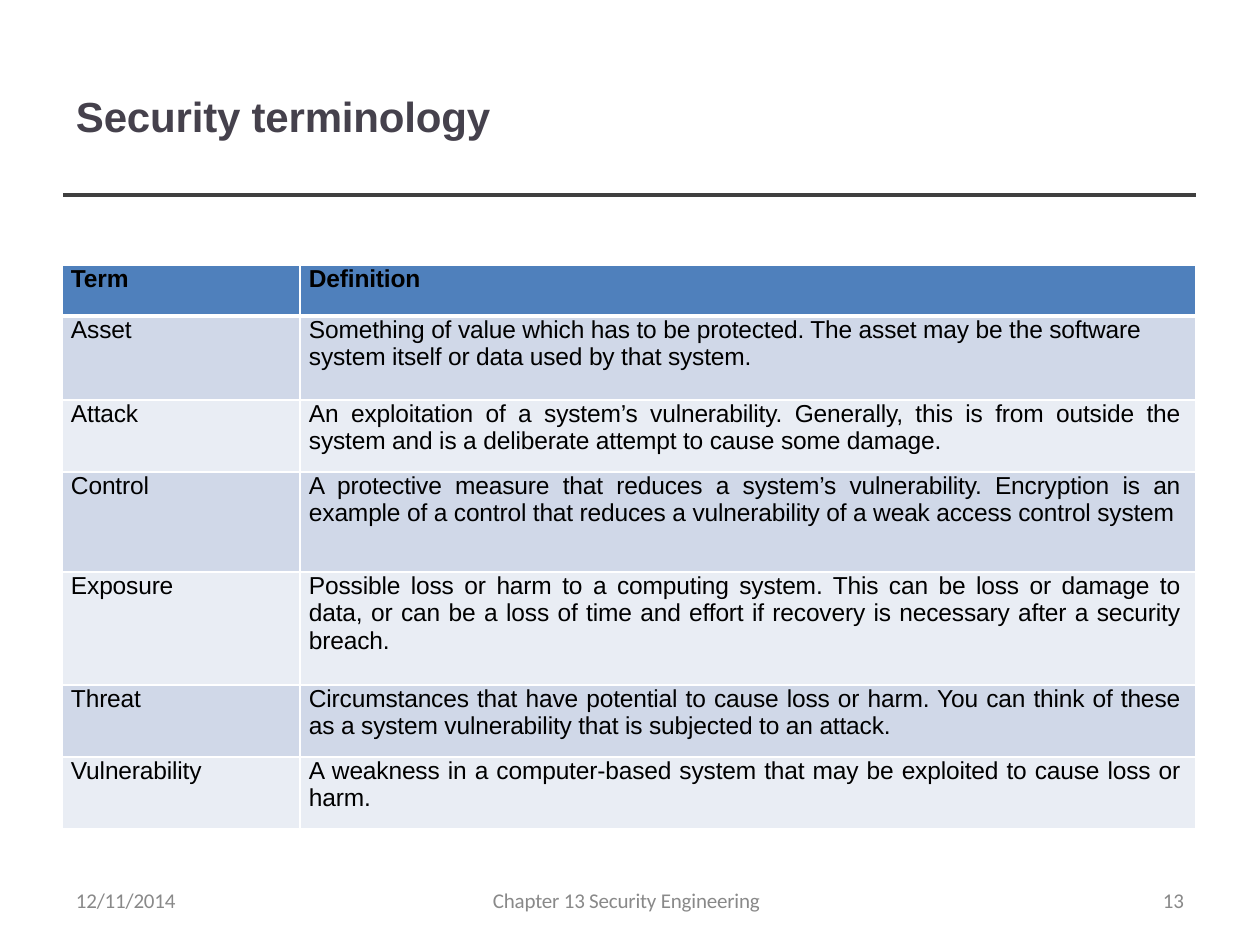
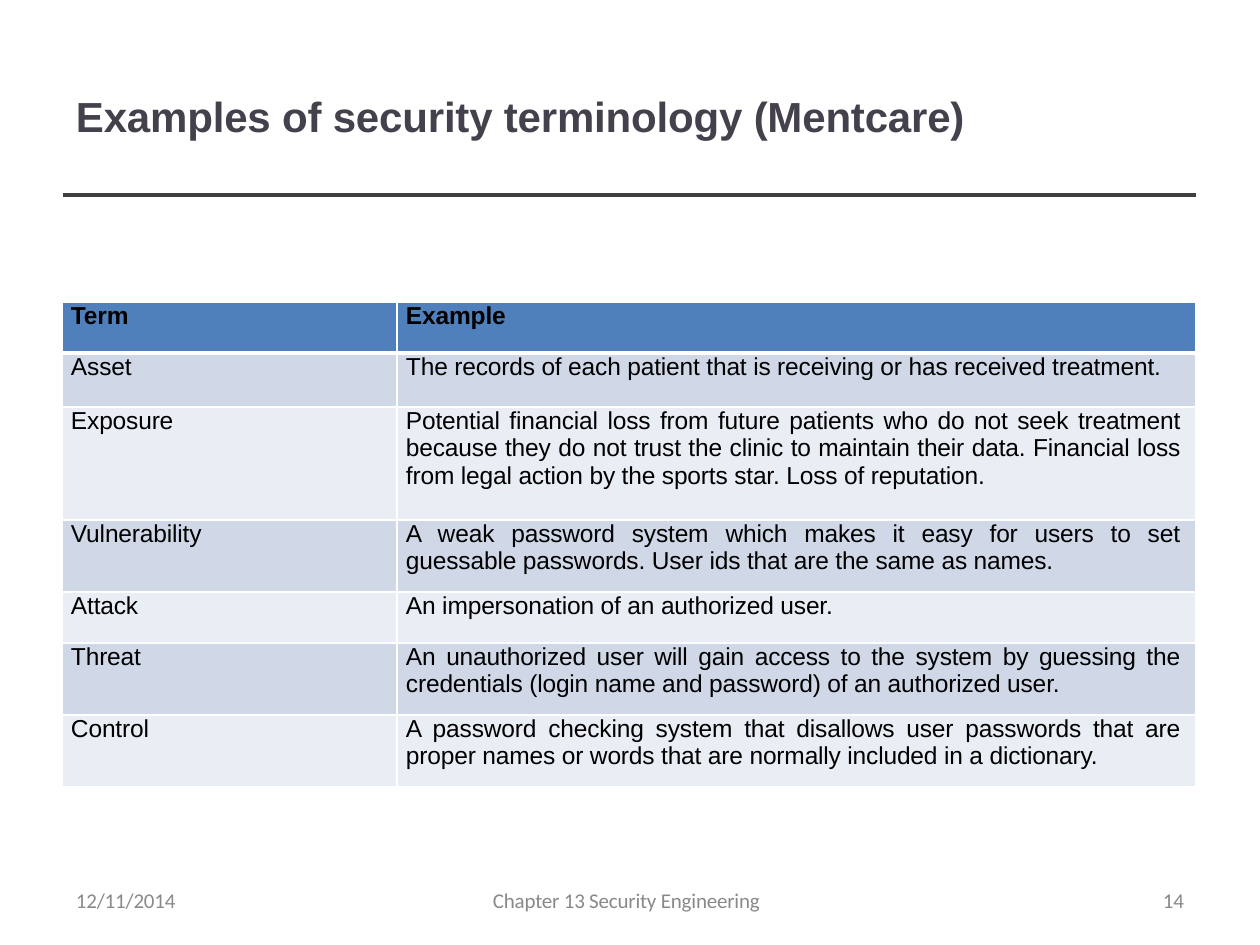
from dataclasses import dataclass

from lxml.etree import SubElement
from pptx import Presentation
from pptx.dml.color import RGBColor
from pptx.enum.shapes import MSO_CONNECTOR
from pptx.enum.text import MSO_ANCHOR, PP_ALIGN
from pptx.oxml.ns import qn
from pptx.util import Pt

# Content: each row is (term, description, row height in px)
SLIDES = [
    {
        "title": "Security terminology",
        "number": "13",
        "top": 265,
        "columns": (238, 896),
        "rows": [
            ("Term", "Definition", 51),
            ("Asset", "Something of value which has to be protected. The asset may be "
             "the software system itself or data used by that system.", 84),
            ("Attack", "An exploitation of a system’s vulnerability. Generally, this is "
             "from outside the system and is a deliberate attempt to cause some damage.", 72),
            ("Control", "A protective measure that reduces a system’s vulnerability. "
             "Encryption is an example of a control that reduces a vulnerability of "
             "a weak access control system", 100),
            ("Exposure", "Possible loss or harm to a computing system. This can be loss or "
             "damage to data, or can be a loss of time and effort if recovery is "
             "necessary after a security breach.", 113),
            ("Threat", "Circumstances that have potential to cause loss or harm. You can "
             "think of these as a system vulnerability that is subjected to an attack.", 72),
            ("Vulnerability", "A weakness in a computer-based system that may be exploited "
             "to cause loss or harm.", 72),
        ],
    },
    {
        "title": "Examples of security terminology (Mentcare)",
        "number": "14",
        "top": 302,
        "columns": (335, 799),
        "rows": [
            ("Term", "Example", 51),
            ("Asset", "The records of each patient that is receiving or has received "
             "treatment.", 54),
            ("Exposure", "Potential financial loss from future patients who do not seek "
             "treatment because they do not trust the clinic to maintain their data. "
             "Financial loss from legal action by the sports star. Loss of reputation.", 113),
            ("Vulnerability", "A weak password system which makes it easy for users to set "
             "guessable passwords. User ids that are the same as names.", 72),
            ("Attack", "An impersonation of an authorized user.", 51),
            ("Threat", "An unauthorized user will gain access to the system by guessing "
             "the credentials (login name and password) of an authorized user.", 72),
            ("Control", "A password checking system that disallows user passwords that are "
             "proper names or words that are normally included in a dictionary.", 72),
        ],
    },
]
DATE = "12/11/2014"
CHAPTER = "Chapter 13 Security Engineering"


@dataclass(frozen=True)
class Theme:
    title: str = "45414C"
    rule: str = "3F3F3F"
    footer: str = "898989"
    text: str = "000000"
    header: str = "4F80BC"
    bands: tuple = ("D0D8E8", "E9EDF4")
    border: str = "FFFFFF"
    body_font: str = "Arial"
    footer_font: str = "Calibri"
    title_size: float = 24
    table_size: float = 14
    footer_size: float = 12
    rule_width: float = 2.16


THEME = Theme()

# Geometry in px
WIDTH, HEIGHT = 1260, 945
LEFT = 62
RULE_Y, RULE_LEFT, RULE_ENDS = 195, 63, (1070, 1196)
TITLE_BOX = (76, 66, 1111, 102)
FOOTER_Y, FOOTER_HEIGHT = 891, 24
CELL_LEFT, CELL_RIGHT = 9, 16


def px(length):
    return round(length * 914400 / 126)


def rgb(colour):
    return RGBColor.from_string(colour)


def set_margins(part, left=0, top=0, right=0, bottom=0):
    part.margin_left, part.margin_top = px(left), px(top)
    part.margin_right, part.margin_bottom = px(right), px(bottom)


def write(frame, text, font_name, size, colour, bold=False, align=PP_ALIGN.LEFT):
    frame.text = text
    paragraph = frame.paragraphs[0]
    paragraph.alignment = align
    font = paragraph.font
    font.name, font.size, font.bold = font_name, Pt(size), bold
    font.color.rgb = rgb(colour)
    for run in paragraph.runs:  # slightly tightened letters
        run.font._element.set("spc", "-10")
    return paragraph


def add_title(slide, text):
    title = slide.shapes.title
    title.left, title.top, title.width, title.height = map(px, TITLE_BOX)
    frame = title.text_frame
    set_margins(frame, top=25)
    frame.vertical_anchor = MSO_ANCHOR.TOP
    write(frame, text, THEME.body_font, THEME.title_size, THEME.title, bold=True)


def add_rules(slide):
    for end in RULE_ENDS:
        rule = slide.shapes.add_connector(
            MSO_CONNECTOR.STRAIGHT, px(RULE_LEFT), px(RULE_Y), px(end), px(RULE_Y))
        rule.line.color.rgb = rgb(THEME.rule)
        rule.line.width = Pt(THEME.rule_width)
        SubElement(rule._element.spPr, qn("a:effectLst"))


def add_footer(slide, number):
    for text, left, width in ((DATE, 76, 110), (CHAPTER, 493, 290), (number, 1163, 40)):
        box = slide.shapes.add_textbox(px(left), px(FOOTER_Y), px(width), px(FOOTER_HEIGHT))
        frame = box.text_frame
        frame.word_wrap = True
        set_margins(frame)
        paragraph = write(frame, text, THEME.footer_font, THEME.footer_size, THEME.footer)
        paragraph.line_spacing = Pt(12.4)


def add_borders(cell, top, bottom):
    properties = cell._tc.get_or_add_tcPr()
    for side, width in (("L", 1), ("R", 1), ("T", top), ("B", bottom)):
        line = SubElement(properties, qn(f"a:ln{side}"), w=str(Pt(width)))
        fill = SubElement(line, qn("a:solidFill"))
        SubElement(fill, qn("a:srgbClr"), val=THEME.border)


def add_terms(slide, top, columns, rows):
    height = sum(row[-1] for row in rows)
    terms = slide.shapes.add_table(
        len(rows), len(columns), px(LEFT), px(top), px(sum(columns)), px(height)).table
    terms.horz_banding = False
    for column, width in zip(terms.columns, columns):
        column.width = px(width)
    for r, (*texts, row_height) in enumerate(rows):
        terms.rows[r].height = px(row_height)
        is_header = r == 0
        for c, text in enumerate(texts):
            cell = terms.cell(r, c)
            set_margins(cell, left=CELL_LEFT, right=CELL_RIGHT)
            add_borders(cell, top=3 if r == 1 else 1, bottom=3 if is_header else 1)
            cell.fill.solid()
            cell.fill.fore_color.rgb = rgb(
                THEME.header if is_header else THEME.bands[(r - 1) % 2])
            # Descriptions below the first entry are justified
            align = PP_ALIGN.JUSTIFY if c == 1 and r > 1 else PP_ALIGN.LEFT
            write(cell.text_frame, text, THEME.body_font, THEME.table_size,
                  THEME.text, bold=is_header, align=align)


def main():
    deck = Presentation()
    deck.slide_width, deck.slide_height = px(WIDTH), px(HEIGHT)
    title_only = deck.slide_layouts[5]
    for content in SLIDES:
        slide = deck.slides.add_slide(title_only)
        add_rules(slide)
        add_title(slide, content["title"])
        add_footer(slide, content["number"])
        add_terms(slide, content["top"], content["columns"], content["rows"])
    deck.save("out.pptx")


if __name__ == "__main__":
    main()
